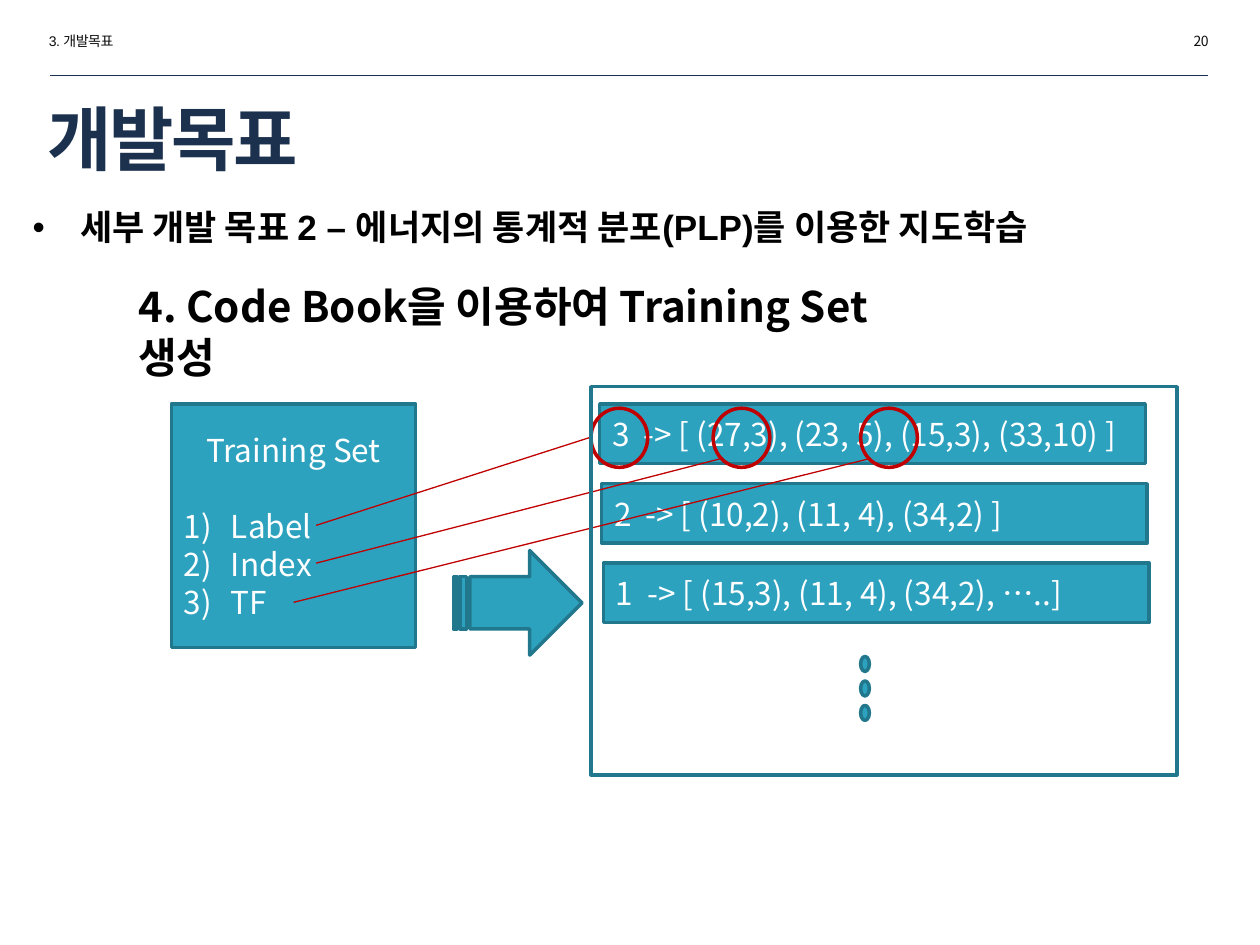
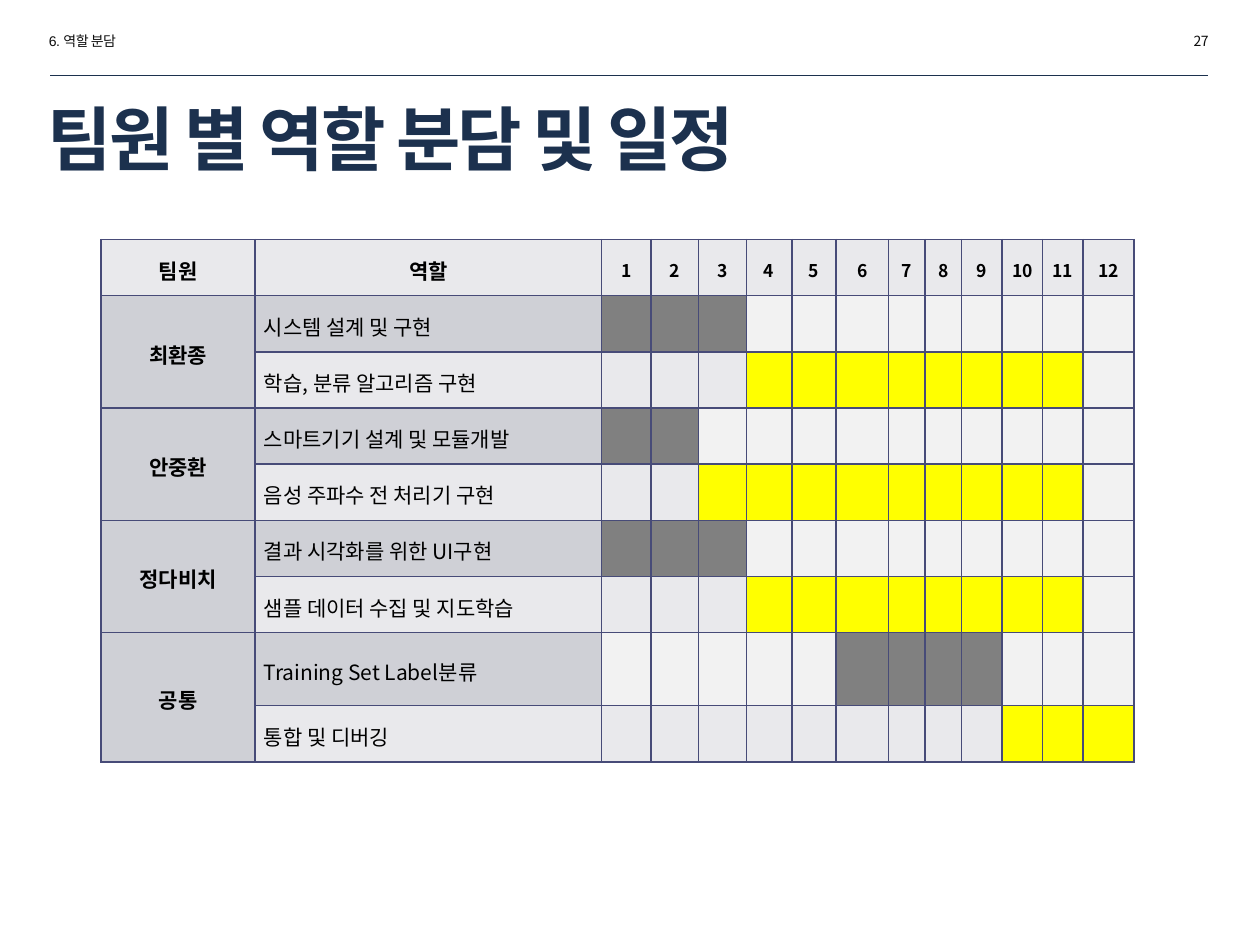
"""Build two project slides: training set creation and the team schedule."""
from dataclasses import dataclass
from typing import Any, Optional

import lxml.etree
import pptx
import pptx.dml.color
import pptx.enum.shapes
import pptx.enum.text
import pptx.oxml.ns
import pptx.util

Pt = pptx.util.Pt
SHAPE = pptx.enum.shapes.MSO_SHAPE
ALIGN = pptx.enum.text.PP_ALIGN
MIDDLE = pptx.enum.text.MSO_ANCHOR.MIDDLE
NO_FIT = pptx.enum.text.MSO_AUTO_SIZE.NONE
qn = pptx.oxml.ns.qn

ARIAL, NOTO = "Arial", "Noto Sans CJK KR"
NAVY, INK, BLACK, WHITE = "1C314E", "0D0D0D", "000000", "FFFFFF"
TEAL, DARK_TEAL, RED = "2DA2BF", "21788D", "C00000"
BORDER, DARK, LIGHT, PALE = "474B78", "CFD0D6", "E9E9EC", "F2F2F2"
GREY, YELLOW = "808080", "FFFF00"


@dataclass(frozen=True)
class Box:
    left: float
    top: float
    width: float
    height: float

    def lengths(self) -> list[int]:
        return [Pt(v) for v in (self.left, self.top, self.width, self.height)]


@dataclass(frozen=True)
class Style:
    size: float
    colour: str = BLACK
    font: str = NOTO
    bold: bool = False
    spacing: float = 0


@dataclass(frozen=True)
class Task:
    name: str
    start: int
    end: int


@dataclass(frozen=True)
class Member:
    name: str
    design: Task
    build: Task


TITLE = Style(40, NAVY, ARIAL, True, -1.5)
SECTION = Style(8, INK, ARIAL, spacing=-0.3)
PAGE = Style(8, INK, spacing=-0.3)
GOAL = Style(20, BLACK, ARIAL, True)
STEP = Style(24, bold=True)
DIAGRAM = Style(18, WHITE)
HEAD, MONTH, ROLE = Style(12, bold=True), Style(10, bold=True), Style(12)

MEMBERS = [
    Member("최환종", Task("시스템 설계 및 구현", 1, 3), Task("학습, 분류 알고리즘 구현", 4, 11)),
    Member("안중환", Task("스마트기기 설계 및 모듈개발", 1, 2), Task("음성 주파수 전 처리기 구현", 3, 11)),
    Member("정다비치", Task("결과 시각화를 위한 UI구현", 1, 3), Task("샘플 데이터 수집 및 지도학습", 4, 11)),
    Member("공통", Task("Training Set Label분류", 6, 9), Task("통합 및 디버깅", 10, 12)),
]
COLUMN_WIDTHS = [88, 198, 28.3, 27.2, 27.2, 26, 25.2, 30.2, 20.8, 20.8, 23.2, 23.2, 23.2, 29]
ROW_HEIGHTS = [32.1] * 7 + [41.7, 32.1]


def rgb(colour: str) -> pptx.dml.color.RGBColor:
    """Turn a hex string into a colour."""
    return pptx.dml.color.RGBColor.from_string(colour)


def format_paragraph(p: Any, style: Style, align: Any = ALIGN.LEFT) -> None:
    """Align a paragraph and format its runs."""
    p.alignment = align
    for r in p.runs:
        r.font.size, r.font.bold, r.font.name = Pt(style.size), style.bold, style.font
        r.font.color.rgb = rgb(style.colour)
        rpr = r._r.get_or_add_rPr()
        if style.spacing:
            rpr.set("spc", str(round(style.spacing * 100)))
        ea = lxml.etree.Element(qn("a:ea"), typeface=NOTO)
        rpr.find(qn("a:latin")).addnext(ea)


def add_bullet(p: Any, tag: str, **attributes: str) -> None:
    """Give a paragraph a hanging bullet or number."""
    ppr = p._p.get_or_add_pPr()
    ppr.set("marL", str(Pt(27)))
    ppr.set("indent", str(-Pt(27)))
    lxml.etree.SubElement(ppr, qn("a:buFont"), typeface=ARIAL)
    lxml.etree.SubElement(ppr, qn(tag), **attributes)


def add_tab_stop(p: Any, position: float) -> None:
    """Add a left tab stop to a paragraph."""
    tabs = lxml.etree.SubElement(p._p.get_or_add_pPr(), qn("a:tabLst"))
    lxml.etree.SubElement(tabs, qn("a:tab"), pos=str(Pt(position)), algn="l")


def add_text(s: Any, box: Box, text: str, style: Style, align: Any = ALIGN.LEFT) -> None:
    """Add a wrapping text box."""
    tf = s.shapes.add_textbox(*box.lengths()).text_frame
    tf.word_wrap = True
    tf.text = text
    format_paragraph(tf.paragraphs[0], style, align)


def add_shape(s: Any, kind: Any, box: Box, fill: Optional[str] = TEAL, line: str = DARK_TEAL) -> Any:
    """Add an outlined preset shape, unfilled when fill is None."""
    sp = s.shapes.add_shape(kind, *box.lengths())
    sp.shadow.inherit = False
    if fill:
        sp.fill.solid()
        sp.fill.fore_color.rgb = rgb(fill)
    else:
        sp.fill.background()
    sp.line.color.rgb, sp.line.width = rgb(line), Pt(2)
    sp.text_frame.vertical_anchor = MIDDLE
    return sp


def add_line(s: Any, x1: float, y1: float, x2: float, y2: float, colour: str, width: float) -> None:
    """Add a straight line without a shadow."""
    kind = pptx.enum.shapes.MSO_CONNECTOR.STRAIGHT
    line = s.shapes.add_connector(kind, Pt(x1), Pt(y1), Pt(x2), Pt(y2))
    line.line.color.rgb, line.line.width = rgb(colour), Pt(width)
    lxml.etree.SubElement(line._element.spPr, qn("a:effectLst"))


def place(sp: Any, box: Box) -> Any:
    """Move a placeholder and return its text frame."""
    sp.left, sp.top, sp.width, sp.height = box.lengths()
    tf = sp.text_frame
    tf.auto_size, tf.word_wrap = NO_FIT, True
    return tf


def add_slide(prs: Any, layout: int, section: str, title: str, page: int) -> Any:
    """Add a slide with its running header and title."""
    s = prs.slides.add_slide(prs.slide_layouts[layout])
    add_text(s, Box(20.9, 15.1, 124.6, 17.3), section, SECTION)
    add_line(s, 28.8, 43.2, 690.5, 43.2, NAVY, 0.25)
    tf = place(s.shapes.title, Box(20.2, 55.4, 550.8, 46.1))
    tf.vertical_anchor = MIDDLE
    tf.text = title
    format_paragraph(tf.paragraphs[0], TITLE)
    add_text(s, Box(573.1, 15.1, 124.6, 17.3), str(page), PAGE, ALIGN.RIGHT)
    return s


def add_training_set(s: Any) -> None:
    """Draw the box that lists the parts of a training set."""
    tf = add_shape(s, SHAPE.RECTANGLE, Box(97.9, 231, 139.7, 139)).text_frame
    tf.text = "Training Set"
    format_paragraph(tf.paragraphs[0], DIAGRAM, ALIGN.CENTER)
    for i, part in enumerate(["Label", "Index", "TF"]):
        p = tf.add_paragraph()
        p.text = part
        add_bullet(p, "a:buAutoNum", type="arabicParenR")
        format_paragraph(p, DIAGRAM)
        if i == 0:
            p.space_before = Pt(21.7)


def add_training_slide(prs: Any) -> None:
    """Build the slide on making a training set from the code book."""
    s = add_slide(prs, 1, "3. 개발목표", "개발목표", 20)
    tf = place(s.placeholders[1], Box(11.5, 116.6, 693.4, 334.8))
    tf.text = "세부 개발 목표 2 – 에너지의 통계적 분포(PLP)를 이용한 지도학습"
    p = tf.paragraphs[0]
    p.line_spacing, p.space_before = 0.9, Pt(0)
    add_bullet(p, "a:buChar", char="•")
    format_paragraph(p, GOAL)
    add_text(s, Box(72, 157, 494.6, 36), "4. Code Book을 이용하여 Training Set\v생성", STEP)
    add_training_set(s)

    samples = [
        "3\t-> [ (27,3), (23, 5), (15,3), (33,10) ]",
        "2\t-> [ (10,2), (11, 4), (34,2) ]",
        "1\t-> [ (15,3), (11, 4), (34,2), …..]",
    ]
    for i, sample in enumerate(samples):
        box = Box(342.7 + 1.1 * i, 231 + 45.4 * i, 311.8, 34)
        tf = add_shape(s, SHAPE.RECTANGLE, box).text_frame
        tf.text = sample
        add_tab_stop(tf.paragraphs[0], 18)
        format_paragraph(tf.paragraphs[0], DIAGRAM)

    for left in (337.7, 407.5, 491.8):
        add_shape(s, SHAPE.OVAL, Box(left, 233.3, 32.4, 33.8), None, RED)
    for ends in ((180.7, 300.2, 337.7, 249.8), (180.7, 321.8, 411.8, 262.1), (167.8, 344.2, 496.8, 262.1)):
        add_line(s, *ends, RED, 0.75)
    add_shape(s, SHAPE.STRIPED_RIGHT_ARROW, Box(259.2, 314.6, 73.4, 59.8))
    add_shape(s, SHAPE.RECTANGLE, Box(337.7, 221, 334.8, 221.8), None)
    for i in range(3):
        add_shape(s, SHAPE.OVAL, Box(491.8, 375.1 + 14 * i, 5, 8.6))


def format_cell(cell: Any, fill: str, text: str = "", style: Style = ROLE, align: Any = ALIGN.CENTER) -> None:
    """Set the borders, fill and text of a table cell."""
    tcpr = cell._tc.get_or_add_tcPr()
    for side in ("L", "R", "T", "B"):
        ln = lxml.etree.SubElement(tcpr, qn(f"a:ln{side}"), w=str(Pt(1)))
        solid = lxml.etree.SubElement(ln, qn("a:solidFill"))
        lxml.etree.SubElement(solid, qn("a:srgbClr"), val=BORDER)
    cell.fill.solid()
    cell.fill.fore_color.rgb = rgb(fill)
    cell.margin_left = cell.margin_right = Pt(5)
    cell.margin_top = cell.margin_bottom = Pt(0)
    cell.vertical_anchor = MIDDLE
    if text:
        cell.text_frame.text = text
        p = cell.text_frame.paragraphs[0]
        p.line_spacing = 1.15
        format_paragraph(p, style, align)


def add_task_row(table: Any, row: int, task: Task, role_fill: str, before: str, bar: str) -> None:
    """Fill one task's role cell and its twelve months."""
    format_cell(table.cell(row, 1), role_fill, task.name, ROLE, ALIGN.JUSTIFY)
    for month in range(1, 13):
        fill = before if month < task.start else bar if month <= task.end else PALE
        format_cell(table.cell(row, month + 1), fill)


def add_schedule_slide(prs: Any) -> None:
    """Build the slide with each member's roles and months."""
    s = add_slide(prs, 5, "6. 역할 분담", "팀원 별 역할 분담 및 일정", 27)
    box = Box(57.8, 136.9, sum(COLUMN_WIDTHS), sum(ROW_HEIGHTS))
    table = s.shapes.add_table(len(ROW_HEIGHTS), len(COLUMN_WIDTHS), *box.lengths()).table
    table.first_row = table.horz_banding = False
    for column, width in zip(table.columns, COLUMN_WIDTHS):
        column.width = Pt(width)
    for row, height in zip(table.rows, ROW_HEIGHTS):
        row.height = Pt(height)

    for i, label in enumerate(["팀원", "역할", *map(str, range(1, 13))]):
        format_cell(table.cell(0, i), LIGHT, label, HEAD if i < 2 else MONTH)
    for i, member in enumerate(MEMBERS):
        row = 1 + 2 * i
        format_cell(table.cell(row, 0), DARK, member.name, HEAD)
        format_cell(table.cell(row + 1, 0), DARK)
        table.cell(row, 0).merge(table.cell(row + 1, 0))
        add_task_row(table, row, member.design, DARK, PALE, GREY)
        add_task_row(table, row + 1, member.build, LIGHT, LIGHT, YELLOW)


def main() -> None:
    """Build and save the presentation."""
    prs = pptx.Presentation()
    prs.slide_width, prs.slide_height = Pt(720), Pt(540)
    add_training_slide(prs)
    add_schedule_slide(prs)
    prs.save("out.pptx")


if __name__ == "__main__":
    main()
